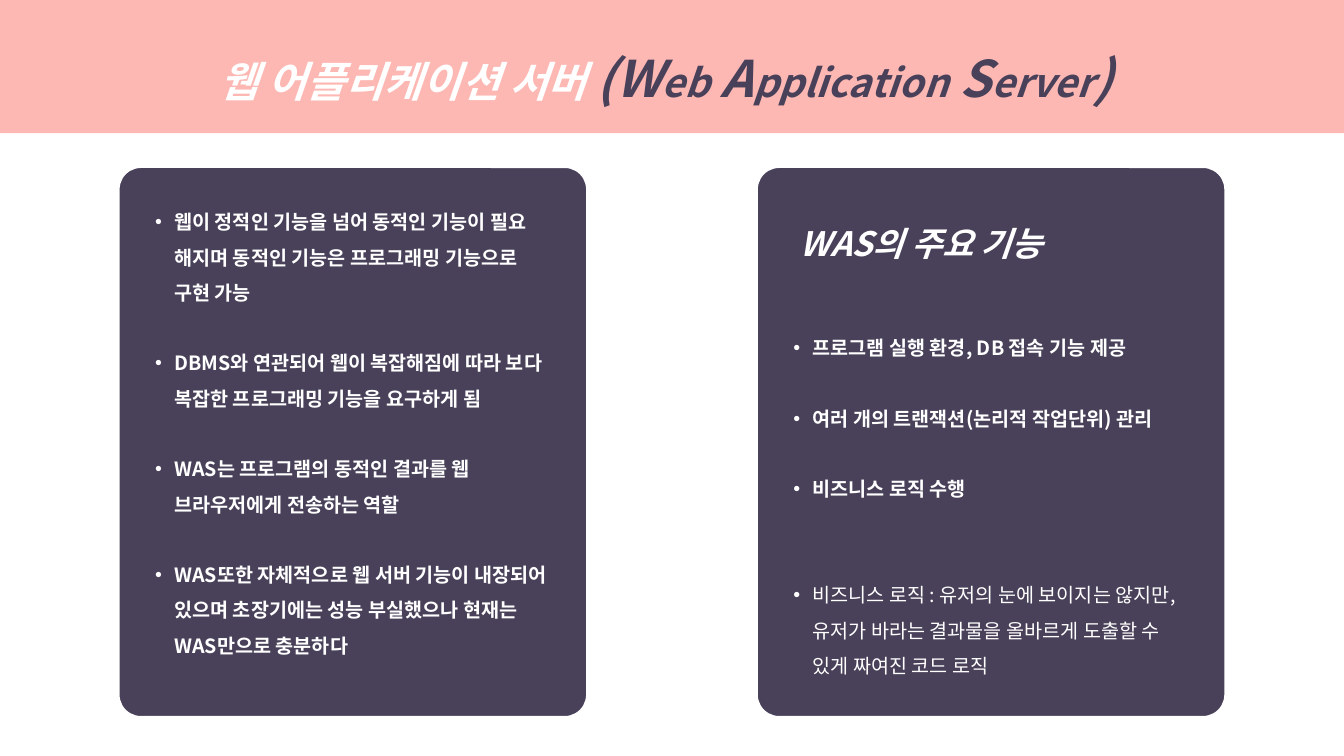
from lxml import etree
from pptx import Presentation
from pptx import util as u
from pptx.dml.color import RGBColor
from pptx.enum import shapes, text
from pptx.oxml import ns

COLORS = {"pink": "FDB8B3", "plum": "494159", "white": "FFFFFF"}
FONT = "Noto Sans CJK KR"
LINE_SPACING = 1.5
BLANK_LINE = 25.2  # points, height of one skipped line
PANEL_WIDTH, PANEL_HEIGHT, PANEL_TOP = 4.64, 5.45, 1.66
PANEL_INSET = 0.26

TITLE_SPANS = [
    ("웹 어플리케이션 서버 ", 30, "white"),
    ("(W", 36, "plum"), ("eb", 28, "plum"),
    (" A", 36, "plum"), ("pplication", 28, "plum"),
    (" S", 36, "plum"), ("erver", 28, "plum"), (") ", 36, "plum"),
]
# Each bullet: text, skipped lines before it, bold
BACKGROUND = [
    ("웹이 정적인 기능을 넘어 동적인 기능이 필요 해지며 동적인 기능은 프로그래밍 기능으로 구현 가능", 0, True),
    ("DBMS와 연관되어 웹이 복잡해짐에 따라 보다 복잡한 프로그래밍 기능을 요구하게 됨", 1, True),
    ("WAS는 프로그램의 동적인 결과를 웹 브라우저에게 전송하는 역할", 1, True),
    ("WAS또한 자체적으로 웹 서버 기능이 내장되어 있으며 초장기에는 성능 부실했으나 현재는 WAS만으로 충분하다", 1, True),
]
FEATURES = [
    ("프로그램 실행 환경, DB 접속 기능 제공", 0, True),
    ("여러 개의 트랜잭션(논리적 작업단위) 관리", 1, True),
    ("비즈니스 로직 수행", 1, True),
    ("비즈니스 로직 : 유저의 눈에 보이지는 않지만, 유저가 바라는 결과물을 올바르게 도출할 수 있게 짜여진 코드 로직", 2, False),
]


def add_span(para, words, color="white", **formats):
    span = para.add_run()
    span.text = words
    span.font.color.rgb = RGBColor.from_string(COLORS[color])
    for name, value in {"name": FONT, "bold": True, **formats}.items():
        setattr(span.font, name, value)
    etree.SubElement(span.font._element, ns.qn("a:ea"), typeface=FONT)


def add_block(page, kind, left, top, width, height, color):
    block = page.shapes.add_shape(kind, *map(u.Inches, (left, top, width, height)))
    block.shadow.inherit = False
    block.fill.solid()
    block.fill.fore_color.rgb = RGBColor.from_string(COLORS[color])
    return block


def add_text_box(page, left, top, width, height, wrap=True):
    box = page.shapes.add_textbox(*map(u.Inches, (left, top, width, height)))
    box.text_frame.word_wrap = wrap
    return box.text_frame


def add_header(page, width, height):
    banner = add_block(page, shapes.MSO_SHAPE.RECTANGLE, 0, 0, width, height, "pink")
    banner.line.fill.background()

    title = page.shapes.title
    title.element.getparent().append(title.element)  # in front of the banner
    place = {"left": 0, "top": 0.12, "width": width, "height": 0.89}
    for name, value in place.items():
        setattr(title, name, u.Inches(value))
    frame = title.text_frame
    formats = {"word_wrap": True, "auto_size": text.MSO_AUTO_SIZE.NONE,
               "vertical_anchor": text.MSO_ANCHOR.TOP}
    for name, value in formats.items():
        setattr(frame, name, value)
    para = frame.paragraphs[0]
    para.alignment = text.PP_ALIGN.CENTER
    para.line_spacing = LINE_SPACING
    for words, size, color in TITLE_SPANS:
        add_span(para, words, color, size=u.Pt(size), italic=True)


def add_bullets(frame, bullets):
    for index, (words, skipped, bold) in enumerate(bullets):
        para = frame.add_paragraph() if index else frame.paragraphs[0]
        para.line_spacing = LINE_SPACING
        para.space_before = u.Pt(skipped * BLANK_LINE)
        props = para._p.get_or_add_pPr()
        indent = u.Inches(0.19)
        props.set("marL", str(indent))
        props.set("indent", str(-indent))
        etree.SubElement(props, ns.qn("a:buFont"), typeface="Arial")
        etree.SubElement(props, ns.qn("a:buChar"), char="•")
        add_span(para, words, size=u.Pt(14), bold=bold)


def add_panel(page, left, bullets, bullets_offset, bullets_height, heading=None):
    panel = add_block(page, shapes.MSO_SHAPE.ROUNDED_RECTANGLE,
                      left, PANEL_TOP, PANEL_WIDTH, PANEL_HEIGHT, "plum")
    panel.adjustments[0] = 0.047
    panel.line.color.rgb = RGBColor.from_string(COLORS["white"])
    panel.line.width = u.Pt(1)

    frame = add_text_box(page, left + PANEL_INSET, PANEL_TOP + bullets_offset,
                         PANEL_WIDTH - 2 * PANEL_INSET, bullets_height)
    add_bullets(frame, bullets)
    if heading:
        frame = add_text_box(page, left + 0.32, PANEL_TOP + 0.5, 2.88, 0.5, wrap=False)
        add_span(frame.paragraphs[0], heading, size=u.Pt(24), italic=True)


def main():
    deck = Presentation()
    deck.slide_width, deck.slide_height = u.Inches(13.33), u.Inches(7.5)
    page = deck.slides.add_slide(deck.slide_layouts.get_by_name("Title Only"))
    add_header(page, 13.33, 1.32)
    add_panel(page, 1.18, BACKGROUND, 0.26, 5.71)
    add_panel(page, 7.51, FEATURES, 1.51, 3.59, heading="WAS의 주요 기능")
    deck.save("out.pptx")


if __name__ == "__main__":
    main()
